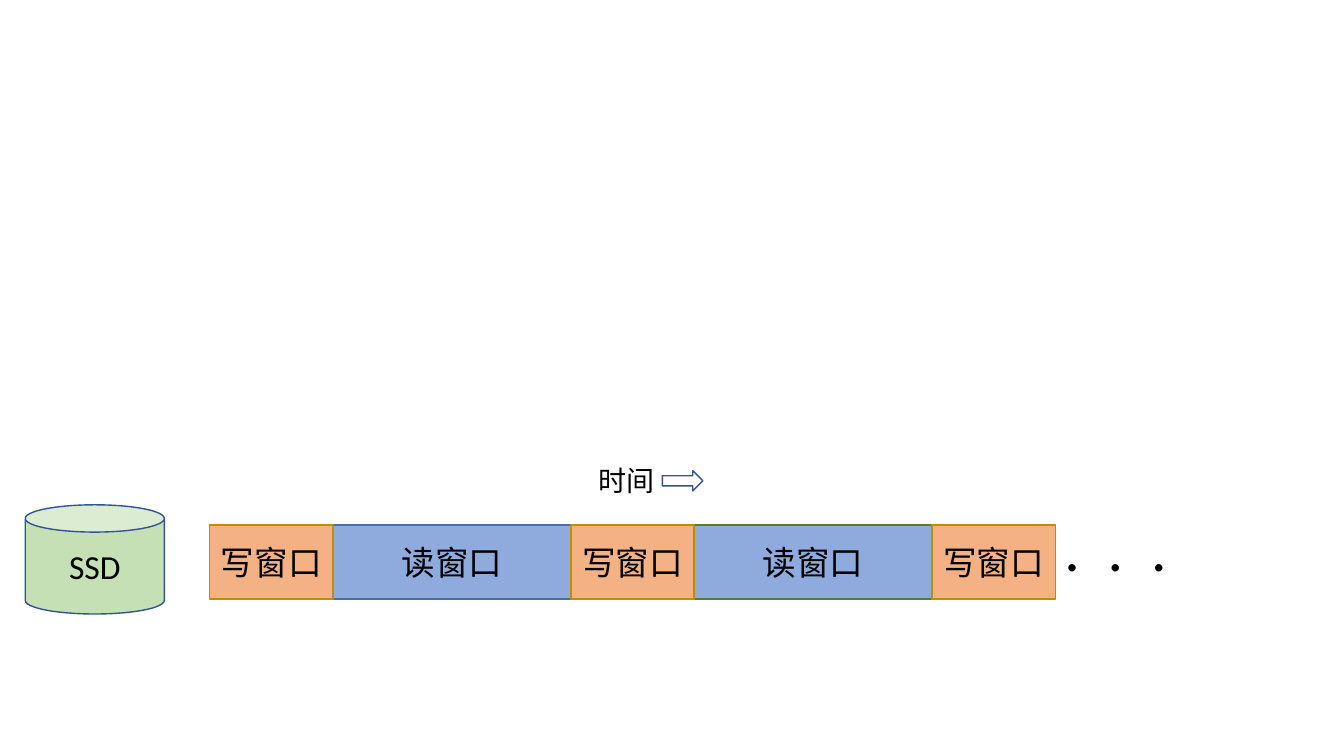
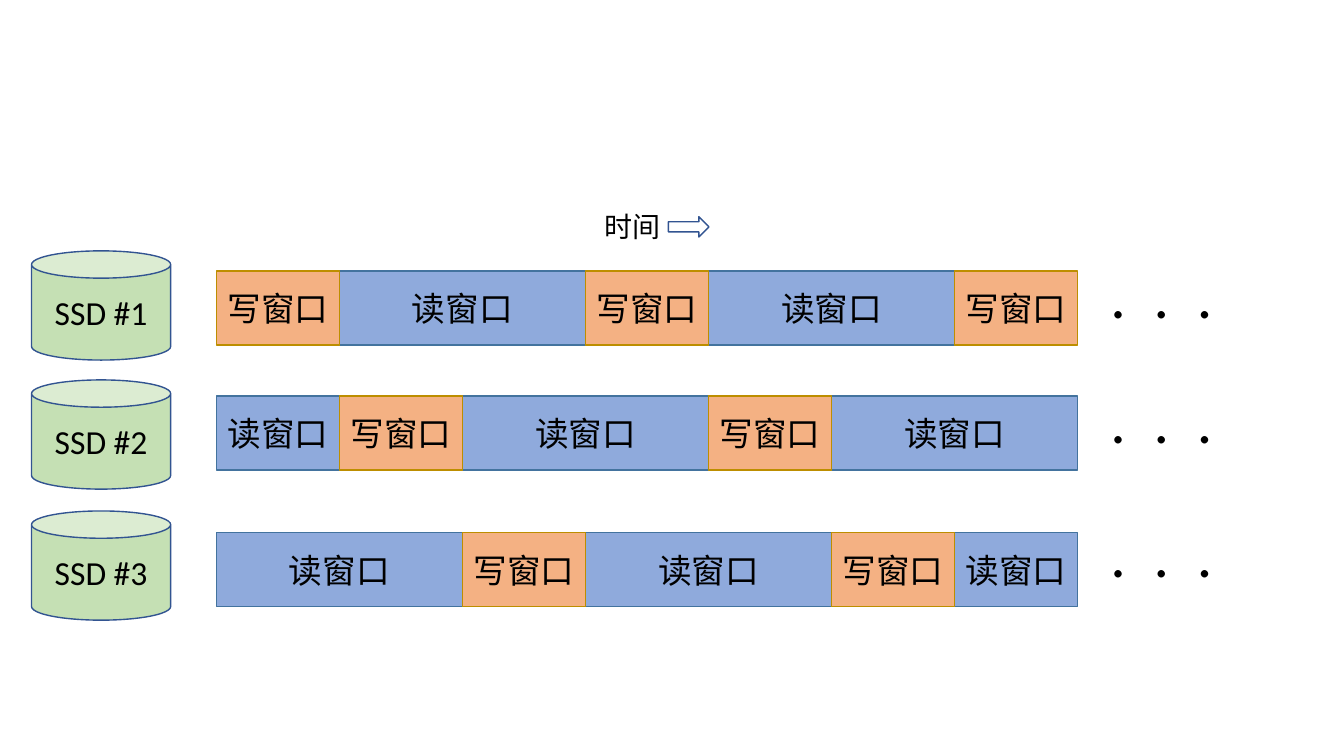
from dataclasses import dataclass
from itertools import accumulate

from lxml.etree import SubElement
from pptx import Presentation
from pptx.dml.color import RGBColor
from pptx.enum.shapes import MSO_SHAPE
from pptx.enum.text import MSO_ANCHOR, MSO_AUTO_SIZE, PP_ALIGN
from pptx.oxml.ns import qn
from pptx.util import Pt


@dataclass(frozen=True)
class Theme:
    text: str = "000000"
    outline: str = "325491"
    disk_fill: str = "C5E0B4"
    blue_fill: str = "8FAADC"
    blue_line: str = "43739E"
    green_line: str = "538035"
    orange_fill: str = "F4B183"
    orange_line: str = "BD8E00"
    latin_font: str = "Calibri"
    chinese_font: str = "Noto Sans CJK SC"
    body_size: int = 24
    time_size: int = 20
    dots_size: int = 44
    line_width: int = 1


THEME = Theme()
TIME_LABEL = "时间"
DOTS = ".  .  . "
WINDOWS = {
    "write": ("写窗口", THEME.orange_fill, THEME.orange_line),
    "read": ("读窗口", THEME.blue_fill, THEME.blue_line),
    "read_accent": ("读窗口", THEME.blue_fill, THEME.green_line),
}
WRITE = ("write", 1)
READ = ("read", 2)
SHORT_READ = ("read", 1)

SLIDES = [
    {
        "disk_left": 18, "bar_left": 149.8, "dots_left": 753.2,
        "time": (420.6, 327.4), "units": {1: 88, 2: 170},
        "rows": [
            ("SSD", 360.6, 375, 360.6,
             [WRITE, READ, WRITE, ("read_accent", 2), WRITE]),
        ],
    },
    {
        "disk_left": 22.5, "bar_left": 154.5, "dots_left": 786,
        "time": (424.9, 146), "units": {1: 87.9, 2: 175.8},
        "rows": [
            ("SSD #1", 179.2, 193.5, 180, [WRITE, READ, WRITE, READ, WRITE]),
            ("SSD #2", 271.4, 282.8, 269.4, [SHORT_READ, WRITE, READ, WRITE, READ]),
            ("SSD #3", 365, 380.4, 365, [READ, WRITE, READ, WRITE, SHORT_READ]),
        ],
    },
]

DISK_SIZE = (99.4, 78)
WINDOW_HEIGHT = 53
DOTS_SIZE = (136, 60.6)
TIME_SIZE = (134.6, 31.5)
ARROW_OFFSET = (52.5, 8.8)
ARROW_SIZE = (29, 14.5)


def add_run(paragraph, text, size, font_name):
    run = paragraph.add_run()
    run.text = text
    run.font.size = Pt(size)
    run.font.color.rgb = RGBColor.from_string(THEME.text)
    run.font.name = font_name
    east_asian = SubElement(run.font._element, qn("a:ea"))
    east_asian.set("typeface", font_name)


def add_block(slide, preset, box, fill, line, text="", font_name=""):
    shape = slide.shapes.add_shape(preset, *map(Pt, box))
    shape.shadow.inherit = False
    if fill:
        shape.fill.solid()
        shape.fill.fore_color.rgb = RGBColor.from_string(fill)
    else:
        shape.fill.background()
    shape.line.color.rgb = RGBColor.from_string(line)
    shape.line.width = Pt(THEME.line_width)
    if text:
        shape.text_frame.vertical_anchor = MSO_ANCHOR.MIDDLE
        paragraph = shape.text_frame.paragraphs[0]
        paragraph.alignment = PP_ALIGN.CENTER
        add_run(paragraph, text, THEME.body_size, font_name)


def add_label(slide, box, text, size, font_name):
    frame = slide.shapes.add_textbox(*map(Pt, box)).text_frame
    frame.word_wrap = True
    frame.auto_size = MSO_AUTO_SIZE.SHAPE_TO_FIT_TEXT
    add_run(frame.paragraphs[0], text, size, font_name)


def add_windows(slide, left, top, windows, units):
    widths = [units[length] for _, length in windows]
    lefts = accumulate(widths[:-1], initial=left)
    placed = zip([kind for kind, _ in windows], lefts, widths)
    for kind, window_left, width in sorted(placed, key=lambda item: item[0] == "write"):
        text, fill, line = WINDOWS[kind]
        add_block(slide, MSO_SHAPE.RECTANGLE, (window_left, top, width, WINDOW_HEIGHT),
                  fill, line, text, THEME.chinese_font)


def add_time(slide, left, top):
    add_label(slide, (left, top, *TIME_SIZE), TIME_LABEL, THEME.time_size, THEME.chinese_font)
    arrow_box = (left + ARROW_OFFSET[0], top + ARROW_OFFSET[1], *ARROW_SIZE)
    add_block(slide, MSO_SHAPE.RIGHT_ARROW, arrow_box, None, THEME.outline)


presentation = Presentation()
presentation.slide_width, presentation.slide_height = Pt(960), Pt(540)
for content in SLIDES:
    slide = presentation.slides.add_slide(presentation.slide_layouts[6])
    for name, disk_top, bar_top, dots_top, windows in content["rows"]:
        add_windows(slide, content["bar_left"], bar_top, windows, content["units"])
        add_label(slide, (content["dots_left"], dots_top, *DOTS_SIZE),
                  DOTS, THEME.dots_size, THEME.latin_font)
        add_block(slide, MSO_SHAPE.CAN, (content["disk_left"], disk_top, *DISK_SIZE),
                  THEME.disk_fill, THEME.outline, name, THEME.latin_font)
    add_time(slide, *content["time"])

presentation.save("out.pptx")
